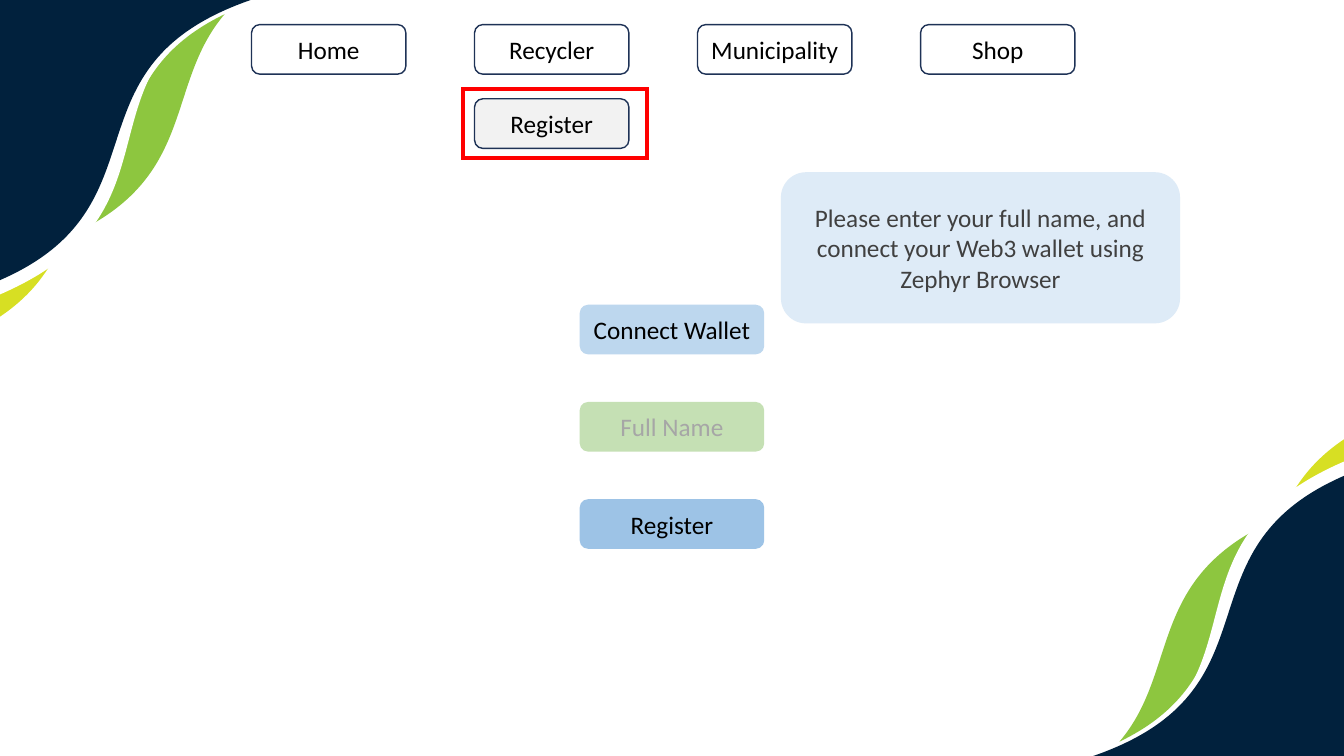
from lxml import etree
from pptx import Presentation
from pptx.dml.color import RGBColor
from pptx.enum import shapes, text
from pptx.oxml.ns import qn
from pptx.util import Cm, Pt

# Lengths in cm
WIDTH, HEIGHT = 33.87, 19.05
BUTTON_H = 1.25
NAV_X, NAV_Y, NAV_W, NAV_STEP = 6.34, 0.62, 3.89, 5.62
FORM_X, FORM_Y, FORM_W, FORM_STEP = 14.61, 7.68, 4.65, 2.45

NAV = ["Home", "Recycler", "Municipality", "Shop"]
FORM = [  # label, fill, text colour
    ("Connect Wallet", "BDD7EE", "000000"),
    ("Full Name", "C5E0B4", "A6A6A6"),
    ("Register", "9DC3E6", "000000"),
]
HINT = ("Please enter your full name, and connect your Web3 wallet "
        "using Zephyr Browser")

# Corner waves: fill, start, then steps of 2 numbers (line) or 6 (cubic curve)
WAVES = [
    ("8DC63F", (5.66, 0.36), [(4.17, 2.11, 4.95, 4.39, 1.96, 5.84),
                              (3.53, 4.06, 2.72, 1.78, 5.66, 0.36)]),
    ("D7DF23", (3.0, 2.9), [(1.63, 4.5, 2.16, 6.53, 0, 7.98), (0, 7.24),
                            (0.69, 5.72, 0.64, 4.01, 3.0, 2.9)]),
    ("FFFFFF", (5.74, 0), [(1.85, 2.11, 4.75, 5.36, 0, 7.42),
                           (0, 2.46), (0.28, 0), (5.74, 0)]),
    ("01213D", (6.32, 0), [(1.47, 1.68, 4.32, 5.18, 0, 7.06), (0, 0), (6.32, 0)]),
]

prs = Presentation()
prs.slide_width, prs.slide_height = Cm(WIDTH), Cm(HEIGHT)
slide = prs.slides.add_slide(prs.slide_layouts[6])


def rgb(value):
    return RGBColor.from_string(value)


def style(s, fill=None, line=None, line_pt=1):
    s.shadow.inherit = False
    if fill:
        s.fill.solid()
        s.fill.fore_color.rgb = rgb(fill)
    else:
        s.fill.background()
    if line:
        s.line.color.rgb = rgb(line)
        s.line.width = Pt(line_pt)
    else:
        s.line.fill.background()


def wave(fill, start, steps, turned):
    """Draw a wave in the top left corner, or turned into the bottom right one."""
    builder = slide.shapes.build_freeform(Cm(start[0]), Cm(start[1]), scale=1.0)
    builder.add_line_segments([(Cm(x), Cm(y)) for *_, x, y in steps], close=True)
    s = builder.convert_to_shape()
    segments = list(s._element.iter(qn("a:lnTo")))
    for segment, step in zip(segments, steps):
        if len(step) == 6:
            segment.tag = qn("a:cubicBezTo")
            end = segment[0]
            for x, y in (step[:2], step[2:4]):
                pt = etree.Element(qn("a:pt"), x=str(Cm(x) - s.left), y=str(Cm(y) - s.top))
                end.addprevious(pt)
    style(s, fill)
    if turned:
        s.left = prs.slide_width - s.left - s.width
        s.top = prs.slide_height - s.top - s.height
        s.rotation = 180


def box(label, x, y, w, h, fill, color="000000", line=None):
    s = slide.shapes.add_shape(shapes.MSO_SHAPE.ROUNDED_RECTANGLE,
                               Cm(x), Cm(y), Cm(w), Cm(h))
    style(s, fill, line)
    tf = s.text_frame
    tf.word_wrap = True
    tf.vertical_anchor = text.MSO_ANCHOR.MIDDLE
    p = tf.paragraphs[0]
    p.text = label
    p.alignment = text.PP_ALIGN.CENTER
    p.font.name, p.font.size = "Calibri", Pt(18)
    p.font.color.rgb = rgb(color)


for turned in (False, True):
    for fill, start, steps in WAVES:
        wave(fill, start, steps, turned)

for i, label in enumerate(NAV):
    box(label, NAV_X + i * NAV_STEP, NAV_Y, NAV_W, BUTTON_H, "FFFFFF", line="1E3256")

box("Register", NAV_X + NAV_STEP, 2.49, NAV_W, BUTTON_H, "F2F2F2", line="1E3256")
highlight = slide.shapes.add_shape(shapes.MSO_SHAPE.RECTANGLE,
                                   Cm(11.66), Cm(2.24), Cm(4.65), Cm(1.75))
style(highlight, line="FF0000", line_pt=3)
etree.SubElement(highlight.line._ln, qn("a:miter"), lim="800000")

for i, (label, fill, color) in enumerate(FORM):
    box(label, FORM_X, FORM_Y + i * FORM_STEP, FORM_W, BUTTON_H, fill, color)

box(HINT, 19.68, 4.34, 10.06, 3.81, "DEEBF7", "404040")

prs.save("out.pptx")
